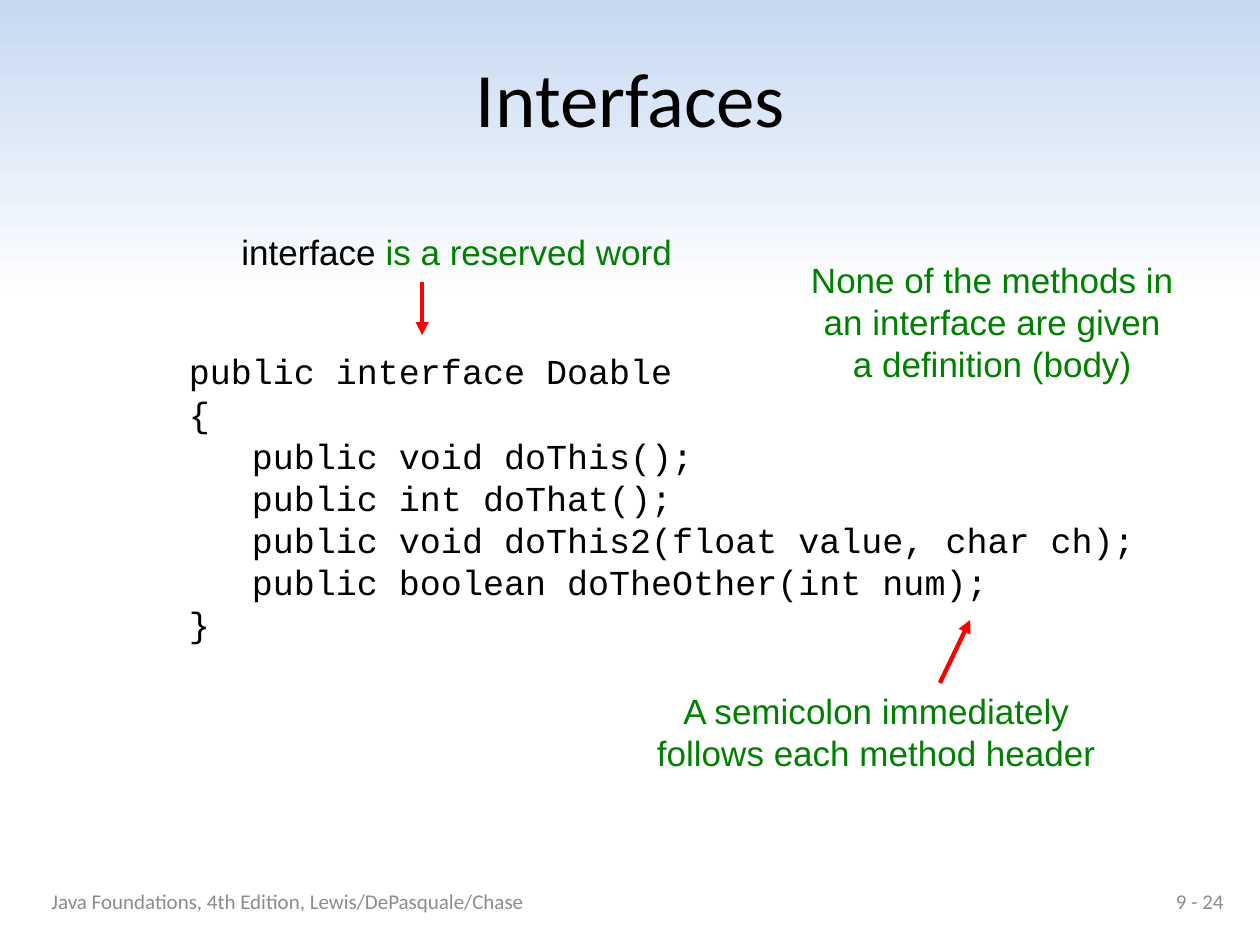
from pptx import Presentation
from pptx.dml.color import RGBColor
from pptx.enum.shapes import MSO_CONNECTOR as CONN
from pptx.enum.text import MSO_ANCHOR as ANCHOR, PP_ALIGN as ALIGN
from pptx.oxml.ns import qn
from pptx.util import Inches, Pt
from lxml.etree import SubElement

BLACK = RGBColor(0x00, 0x00, 0x00)
WHITE = RGBColor(0xFF, 0xFF, 0xFF)
SKY = RGBColor(0xC6, 0xD9, 0xF1)
GREEN = RGBColor(0x00, 0x80, 0x00)
RED = RGBColor(0xFF, 0x00, 0x00)
GREY = RGBColor(0x8C, 0x8C, 0x8C)

prs = Presentation()
prs.slide_width, prs.slide_height = Inches(10), Inches(7.5)
s = prs.slides.add_slide(prs.slide_layouts[6])

# Grid of 100 columns by 75 rows
COL = prs.slide_width / 100
ROW = prs.slide_height / 75


def add_text(box, lines, font, size, align=ALIGN.LEFT, wrap=False):
    """Each line is a list of (text, colour) runs."""
    x, y, w, h = box
    sp = s.shapes.add_textbox(int(x * COL), int(y * ROW), int(w * COL), int(h * ROW))
    tf = sp.text_frame
    tf.word_wrap = wrap
    tf.vertical_anchor = ANCHOR.MIDDLE
    for i, runs in enumerate(lines):
        p = tf.add_paragraph() if i else tf.paragraphs[0]
        p.alignment = align
        for text, color in runs:
            r = p.add_run()
            r.text = text
            r.font.name, r.font.size = font, Pt(size)
            r.font.color.rgb = color


# Background: white rising to sky blue at the top
fill = s.background.fill
fill.gradient()
fill.gradient_angle = 90
for stop, position, color in zip(fill.gradient_stops, (0.68, 1), (WHITE, SKY)):
    stop.position = position
    stop.color.rgb = color

# Title
add_text((1.9, 3, 96.3, 9.4), [[("Interfaces", BLACK)]], "Calibri", 44, ALIGN.CENTER, True)

# Code
code = """public interface Doable
{
   public void doThis();
   public int doThat();
   public void doThis2(float value, char ch);
   public boolean doTheOther(int num);
}"""
add_text((14, 27.3, 78.7, 24.3), [[(line, BLACK)] for line in code.split("\n")],
         "Courier New", 20)

# Notes around the code
notes = [
    ((16.9, 17.8, 38.7, 4.3),
     [[("interface ", BLACK), ("is a reserved word", GREEN)]]),
    ((62.3, 20, 32.9, 11),
     [[("None of the methods in", GREEN)],
      [("an interface are given", GREEN)],
      [("a definition (body)", GREEN)]]),
    ((49.9, 54.2, 39.3, 7.7),
     [[("A semicolon immediately", GREEN)],
      [("follows each method header", GREEN)]]),
]
for box, lines in notes:
    add_text(box, lines, "Arial", 20, ALIGN.CENTER)

# Arrows from the notes to the code
for x1, y1, x2, y2 in [(33.5, 22.4, 33.5, 26.6), (74.6, 54.2, 77, 49.2)]:
    arrow = s.shapes.add_connector(CONN.STRAIGHT, int(x1 * COL), int(y1 * ROW),
                                   int(x2 * COL), int(y2 * ROW))
    arrow.line.color.rgb = RED
    arrow.line.width = Pt(2.5)
    SubElement(arrow.line._get_or_add_ln(), qn("a:tailEnd"), type="triangle")
    SubElement(arrow._element.spPr, qn("a:effectLst"))

# Footer
add_text((74.8, 69.5, 23.3, 4), [[("9 - 24", GREY)]], "Calibri", 12, ALIGN.RIGHT, True)
add_text((3.1, 69.5, 71.7, 4),
         [[("Java Foundations, 4th Edition, Lewis/DePasquale/Chase", GREY)]],
         "Calibri", 12, wrap=True)

prs.save("out.pptx")
